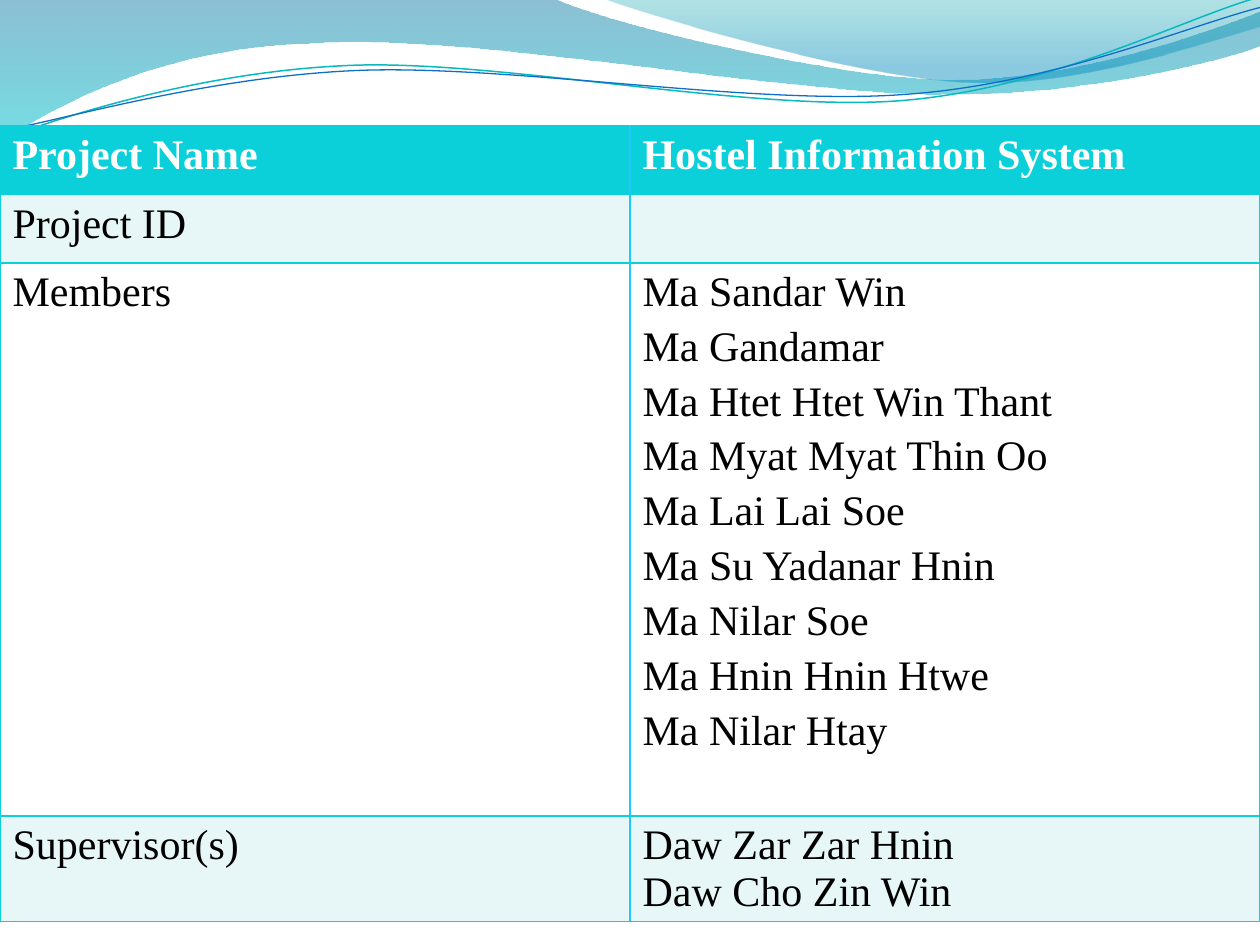
from dataclasses import dataclass
from math import cos, radians, sin

from lxml import etree
from pptx import Presentation
from pptx.dml.color import RGBColor
from pptx.oxml.ns import qn
from pptx.util import Pt


@dataclass(frozen=True)
class Theme:
    font: str = "Times New Roman"
    text_size: float = 24
    member_gap: float = 4.8
    border_width: float = 1
    header: str = "0BD0D9"
    divider: str = "20C9F8"
    band: str = "E7F7F8"
    white: str = "FFFFFF"
    black: str = "000000"
    large_wave: tuple = ((0, "0074A1", 45), (1, "00C6CF", 55))
    small_wave: tuple = ((0, "00A1A9", 30), (0.8, "008BBF", 45))
    upper_line: tuple = ("0AB8BF", 0.85)
    lower_line: tuple = ("0F6FC6", 0.75)


THEME = Theme()
BLANK_LAYOUT = 6
SLIDE_WIDTH, SLIDE_HEIGHT = 720, 540
LINE_TILT = 2.7
UPPER_CENTER = (359.3, 41.4)
LOWER_CENTER = (359.6, 41.8)

LARGE_WAVE = [
    (-0.7, 0), (316.8, -0.7),
    (342.7, 12.2, 478.1, 45.4, 545.8, 45.4),
    (614.2, 45.4, 689.8, 18.7, 720, 6.5),
    (720.7, 25.9),
    (707.8, 31.7, 626.4, 54.7, 537.1, 54),
    (447.8, 54, 275, 20.2, 185, 24.5),
    (92.9, 25.9, 33.1, 59.8, -0.7, 81.4),
]
SMALL_WAVE = [
    (344.9, -0.7),
    (366.5, 7.9, 491, 44.6, 553.7, 46.8),
    (616.3, 49.7, 691.9, 23, 720, 15.1),
    (720, 0),
]
UPPER_LINE = [
    (0, 79.9),
    (34.6, 67, 113.8, 41, 199.4, 37.4),
    (284.4, 33.8, 427, 64.1, 513.4, 57.6),
    (599.8, 51.1, 675.4, 10.8, 718.6, -1.4),
]
LOWER_LINE = [
    (0, 74.9),
    (33.8, 69.1, 118.1, 43.9, 203.8, 40.3),
    (290.2, 36.7, 429.8, 60.5, 516.2, 54),
    (601.9, 48.2, 677.5, 15.1, 720, 4.3),
]

MEMBERS = [
    "Ma Sandar Win", "Ma Gandamar", "Ma Htet Htet Win Thant",
    "Ma Myat Myat Thin Oo", "Ma Lai Lai Soe", "Ma Su Yadanar Hnin",
    "Ma Nilar Soe", "Ma Hnin Hnin Htwe", "Ma Nilar Htay",
]
PROJECT_ROWS = [
    ("Project Name", ["Hostel Information System"], 39.1),
    ("Project ID", [], 39.1),
    ("Members", MEMBERS, 316.1),
    ("Supervisor(s)", ["Daw Zar Zar Hnin", "Daw Cho Zin Win"], 55.4),
]
TABLE_HEIGHT = 459.4


def color(value):
    return RGBColor.from_string(value)


def level_segments(segments, center):
    cosine, sine = cos(radians(LINE_TILT)), sin(radians(LINE_TILT))
    leveled = []
    for segment in segments:
        values = []
        for x, y in zip(segment[::2], segment[1::2]):
            across, down = x - center[0], y - center[1]
            values.append(center[0] + across * cosine - down * sine)
            values.append(center[1] + across * sine + down * cosine)
        leveled.append(tuple(values))
    return leveled


def add_outline(slide, left, top, segments, close):
    placed = [
        [(Pt(left + x), Pt(top + y)) for x, y in zip(segment[::2], segment[1::2])]
        for segment in segments
    ]
    builder = slide.shapes.build_freeform(*placed[0][0], scale=1.0)
    builder.add_line_segments([points[-1] for points in placed[1:]], close=close)
    shape = builder.convert_to_shape()
    shape.shadow.inherit = False
    for element, points in zip(list(shape._element.iter(qn("a:lnTo"))), placed[1:]):
        if len(points) == 3:
            element.tag = qn("a:cubicBezTo")
            for index, (x, y) in enumerate(points[:2]):
                control = etree.Element(
                    qn("a:pt"), x=str(x - shape.left), y=str(y - shape.top)
                )
                element.insert(index, control)
    return shape


def add_wave(slide, left, top, segments, stops):
    shape = add_outline(slide, left, top, segments, True)
    shape.line.fill.background()
    shape.fill.gradient()
    shape.fill.gradient_angle = 270
    for stop, (position, value, _) in zip(shape.fill.gradient_stops, stops):
        stop.position = position
        stop.color.rgb = color(value)
    gradient = shape._element.spPr.find(qn("a:gradFill"))
    for element, (_, _, opacity) in zip(gradient.iter(qn("a:srgbClr")), stops):
        etree.SubElement(element, qn("a:alpha"), val=str(opacity * 1000))


def add_wave_line(slide, left, top, segments, center, style):
    leveled = level_segments(segments, center)
    shape = add_outline(slide, left, top, leveled, False)
    shape.rotation = -LINE_TILT
    shape.fill.background()
    shape.line.color.rgb = color(style[0])
    shape.line.width = Pt(style[1])


def add_wave_header(slide, left, top):
    add_wave(slide, left, top, LARGE_WAVE, THEME.large_wave)
    add_wave(slide, left, top, SMALL_WAVE, THEME.small_wave)
    add_wave_line(slide, left, top, UPPER_LINE, UPPER_CENTER, THEME.upper_line)
    add_wave_line(slide, left, top, LOWER_LINE, LOWER_CENTER, THEME.lower_line)


def set_borders(cell, column):
    inner_side = "R" if column == 0 else "L"
    properties = cell._tc.get_or_add_tcPr()
    for index, side in enumerate("LRTB"):
        border = etree.Element(qn(f"a:ln{side}"), w=str(Pt(THEME.border_width)))
        fill = etree.SubElement(border, qn("a:solidFill"))
        value = THEME.divider if side == inner_side else THEME.header
        etree.SubElement(fill, qn("a:srgbClr"), val=value)
        properties.insert(index, border)


def fill_cell(cell, lines, background, text_color, bold, gap):
    cell.fill.solid()
    cell.fill.fore_color.rgb = color(background)
    cell.text_frame.text = "\n".join(lines)
    for paragraph in cell.text_frame.paragraphs:
        if gap:
            paragraph.space_before = Pt(gap)
        for run in paragraph.runs:
            run.font.name = THEME.font
            run.font.size = Pt(THEME.text_size)
            run.font.bold = bold
            run.font.color.rgb = color(text_color)


def add_project_table(slide, left, top, width, height):
    frame = slide.shapes.add_table(
        len(PROJECT_ROWS), 2, Pt(left), Pt(top), Pt(width), Pt(height)
    )
    table = frame.table
    for column in table.columns:
        column.width = Pt(width / 2)
    for index, (label, values, row_height) in enumerate(PROJECT_ROWS):
        table.rows[index].height = Pt(row_height)
        is_header = index == 0
        background = THEME.band if index % 2 else THEME.white
        if is_header:
            background = THEME.header
        text_color = THEME.white if is_header else THEME.black
        for column, lines in enumerate(([label], values)):
            cell = table.cell(index, column)
            gap = THEME.member_gap if lines is MEMBERS else 0
            fill_cell(cell, lines, background, text_color, is_header, gap)
            set_borders(cell, column)
    frame.height = Pt(height)


def build_project_slide(presentation):
    slide = presentation.slides.add_slide(presentation.slide_layouts[BLANK_LAYOUT])
    add_wave_header(slide, 0, 0)
    add_project_table(slide, 0, 72, SLIDE_WIDTH, TABLE_HEIGHT)


presentation = Presentation()
presentation.slide_width = Pt(SLIDE_WIDTH)
presentation.slide_height = Pt(SLIDE_HEIGHT)
build_project_slide(presentation)
presentation.save("out.pptx")
